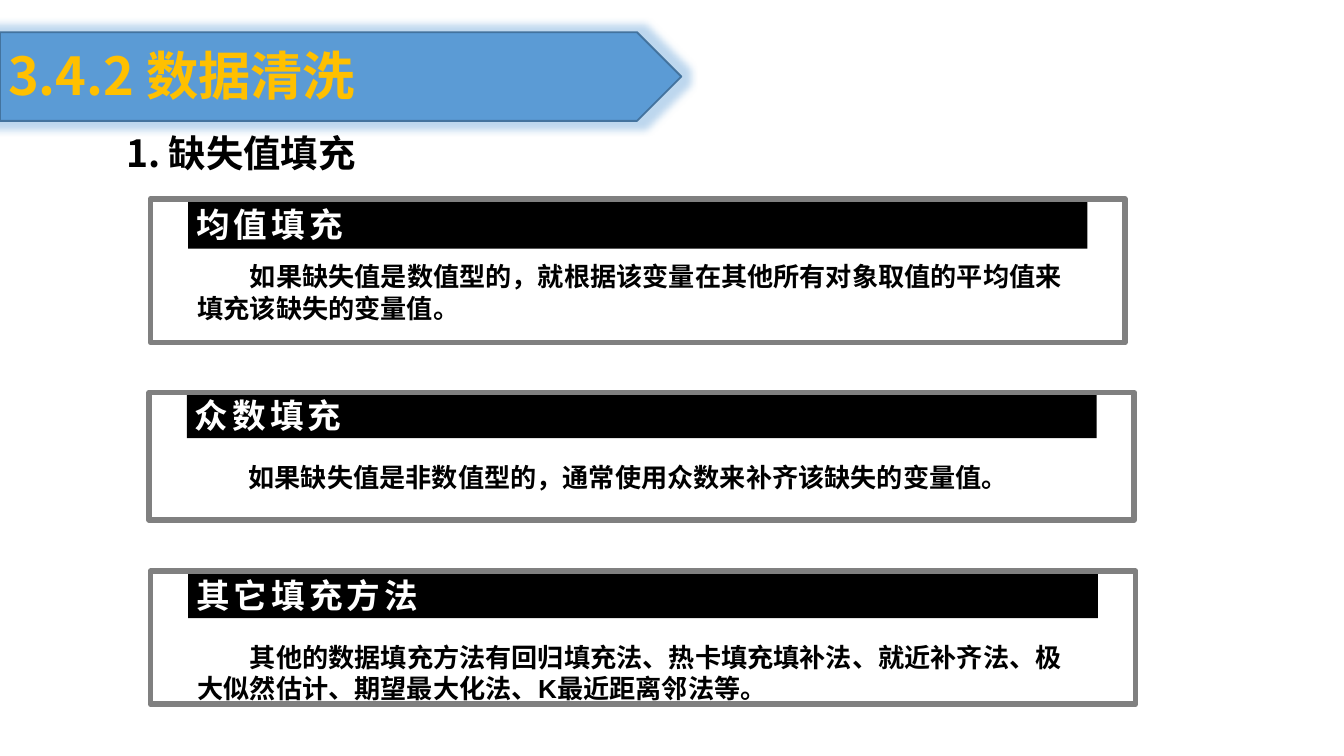
import pptx
import pptx.util
import pptx.dml.color
import pptx.enum.shapes
import pptx.enum.text
import pptx.oxml
import pptx.oxml.ns

# Content
TITLE = "3.4.2 数据清洗"
HEADING = "1. 缺失值填充"
# Each card: header, body, frame (left, top, width, height), bar height, body offset
CARDS = [
    ("均值填充",
     "如果缺失值是数值型的，就根据该变量在其他所有对象取值的平均值来填充该缺失的变量值。",
     (1.12, 1.48, 7.25, 1.07), 0.37, 0.42),
    ("众数填充",
     "如果缺失值是非数值型的，通常使用众数来补齐该缺失的变量值。",
     (1.11, 2.92, 7.33, 0.95), 0.34, 0.47),
    ("其它填充方法",
     "其他的数据填充方法有回归填充法、热卡填充填补法、就近补齐法、"
     "极大似然估计、期望最大化法、K最近距离邻法等。",
     (1.12, 4.25, 7.33, 0.99), 0.35, 0.48),
]

THEME = {
    "banner": "5B9BD5", "banner_edge": "43739E", "title": "FFC000",
    "ink": "000000", "paper": "FFFFFF", "frame": "808080",
    "cjk": "Noto Sans CJK SC", "bar_font": "Calibri", "body_font": "Arial",
    "title_size": 28, "heading_size": 20, "bar_size": 18, "body_size": 14,
}
SLIDE_WIDTH = 10
SLIDE_HEIGHT = SLIDE_WIDTH * 9 / 16
MARGIN = 0.28  # from a card's frame to its bar and body
BODY_WIDTH = 6.7

deck = pptx.Presentation()
deck.slide_width = pptx.util.Inches(SLIDE_WIDTH)
deck.slide_height = pptx.util.Inches(SLIDE_HEIGHT)
slide = deck.slides.add_slide(deck.slide_layouts[6])


def color(key):
    return pptx.dml.color.RGBColor.from_string(THEME[key])


def add_box(kind, box, fill=None, line=None, width=1):
    shape = slide.shapes.add_shape(kind, *map(pptx.util.Inches, box))
    shape.shadow.inherit = False
    if fill:
        shape.fill.solid()
        shape.fill.fore_color.rgb = color(fill)
    else:
        shape.fill.background()
    if line:
        shape.line.color.rgb = color(line)
        shape.line.width = pptx.util.Pt(width)
    else:
        shape.line.fill.background()
    return shape


def write(text, box=None, shape=None, size="body_size", font="cjk", ink="ink",
          inset=(0.1, 0.05), indent=0, spacing=0, middle=False):
    """Set one bold paragraph in a shape, or in a new text box."""
    if shape is None:
        shape = slide.shapes.add_textbox(*map(pptx.util.Inches, box))
    frame = shape.text_frame
    frame.word_wrap = True
    frame.margin_left = frame.margin_right = pptx.util.Inches(inset[0])
    frame.margin_top = frame.margin_bottom = pptx.util.Inches(inset[1])
    anchor = pptx.enum.text.MSO_ANCHOR
    frame.vertical_anchor = anchor.MIDDLE if middle else anchor.TOP
    paragraph = frame.paragraphs[0]
    paragraph.alignment = pptx.enum.text.PP_ALIGN.LEFT
    paragraph._p.get_or_add_pPr().set("indent", str(pptx.util.Inches(indent)))
    run = paragraph.add_run()
    run.text = text
    run.font.size = pptx.util.Pt(THEME[size])
    run.font.bold = True
    run.font.color.rgb = color(ink)
    run.font.name = THEME[font]
    properties = run._r.get_or_add_rPr()
    if spacing:
        properties.set("spc", str(round(spacing * 100)))
    east_asian = pptx.oxml.parse_xml(
        f'<a:ea {pptx.oxml.ns.nsdecls("a")} typeface="{THEME["cjk"]}"/>')
    properties.find(pptx.oxml.ns.qn("a:latin")).addnext(east_asian)


shapes = pptx.enum.shapes.MSO_SHAPE

# Title banner with a soft glow
banner = add_box(shapes.PENTAGON, (0, 0.24, 5.07, 0.66), "banner", "banner_edge")
banner._element.spPr.find(pptx.oxml.ns.qn("a:effectLst")).append(
    pptx.oxml.parse_xml(
        f'<a:glow {pptx.oxml.ns.nsdecls("a")} rad="{pptx.util.Pt(8)}">'
        f'<a:srgbClr val="{THEME["banner"]}"><a:alpha val="40000"/></a:srgbClr>'
        '</a:glow>'))
write(TITLE, (0, 0.27, 4.95, 0.57), size="title_size", ink="title", inset=(0.06, 0.05))
write(HEADING, (0.54, 0.92, 4.02, 0.44), size="heading_size", indent=0.3)

# Cards: black bar, grey frame, body text
for header, body, (left, top, width, height), bar_height, offset in CARDS:
    inner_left, inner_width = left + MARGIN, width - 2 * MARGIN
    bar = add_box(shapes.RECTANGLE, (inner_left, top, inner_width, bar_height), "ink")
    write(header, shape=bar, size="bar_size", font="bar_font", ink="paper",
          inset=(0.06, 0.06), spacing=2.2, middle=True)
    add_box(shapes.RECTANGLE, (left, top, width, height), line="frame", width=3)
    write(body, (inner_left, top + offset, BODY_WIDTH, 0.54),
          font="body_font", inset=(0.07, 0.04), indent=0.39)

deck.save("out.pptx")
